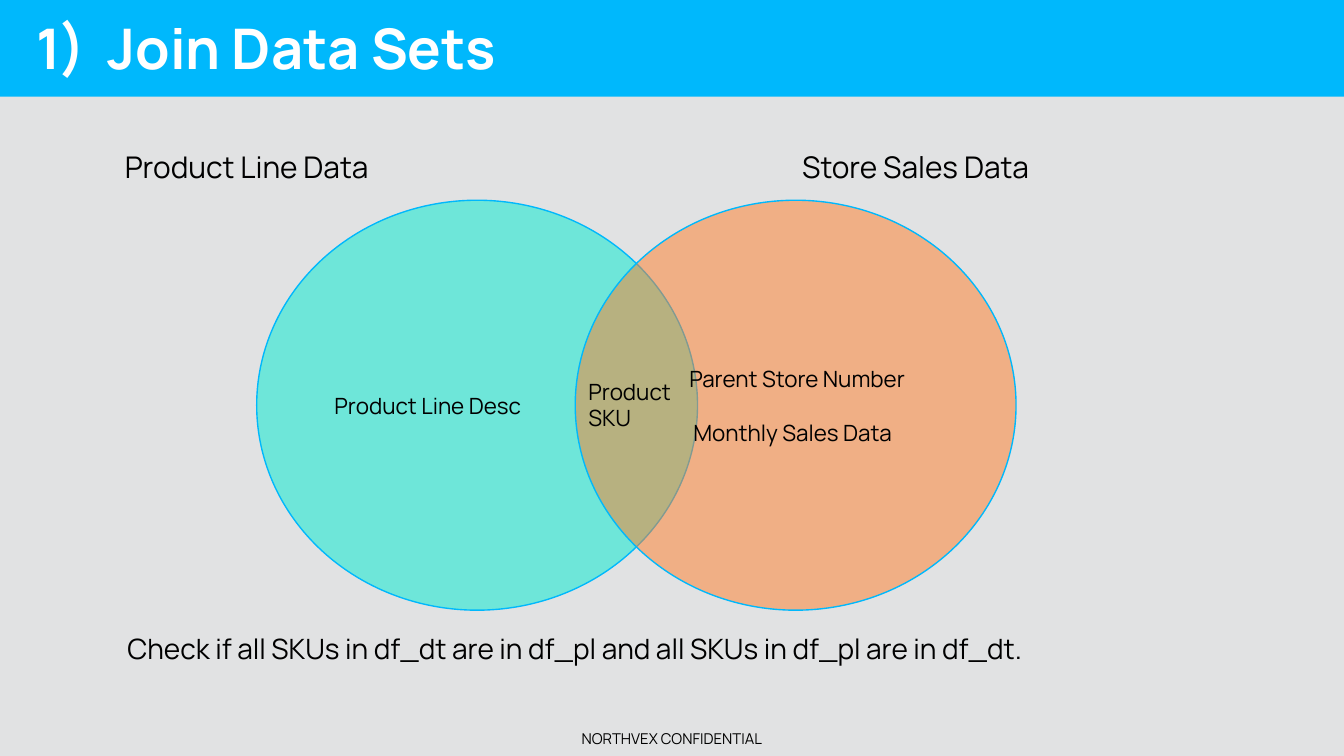
from dataclasses import dataclass

from lxml.etree import SubElement
from pptx import Presentation
from pptx.dml.color import RGBColor
from pptx.enum.shapes import MSO_SHAPE as Shape
from pptx.enum.text import MSO_ANCHOR as Anchor, MSO_AUTO_SIZE as AutoSize, PP_ALIGN as Align
from pptx.oxml.ns import qn
from pptx.util import Inches, Pt

FONT = "Manrope"
BLACK = RGBColor(0x00, 0x00, 0x00)
WHITE = RGBColor(0xFF, 0xFF, 0xFF)
SKY = RGBColor(0x00, 0xB8, 0xFC)
TEAL = RGBColor(0x00, 0xEA, 0xD0)
ORANGE = RGBColor(0xFF, 0x7F, 0x2C)
PALE_GRAY = RGBColor(0xE1, 0xE2, 0xE3)

SLIDE_WIDTH = Inches(10)
SLIDE_HEIGHT = SLIDE_WIDTH * 9 // 16
INSET = 0.1
SET_TOP, SET_WIDTH, SET_HEIGHT = 1.49, 3.28, 3.05
OPACITY = 51


@dataclass(frozen=True)
class Line:
    text: str
    margin: float = 0
    hanging: float = 0
    before: float = 0


@dataclass(frozen=True)
class DataSet:
    left: float
    color: RGBColor
    fields: tuple[Line, ...]


@dataclass(frozen=True)
class Label:
    text: str
    left: float
    top: float
    width: float
    height: float
    size: float
    align: Align = Align.LEFT
    anchor: Anchor = Anchor.TOP


DATA_SETS = (
    DataSet(1.91, TEAL, (Line("Product Line Desc"),)),
    DataSet(4.28, ORANGE, (
        Line("Parent Store Number", margin=0.27),
        Line("Monthly Sales Data", margin=0.3, before=14.5),
    )),
)

LABELS = (
    Label("Product Line Data", 0.83, 1.01, 3.28, 0.47, 16),
    Label("Store Sales Data", 5.87, 1.01, 3.28, 0.47, 16),
    Label("Product SKU", 4.28, 2.71, 0.96, 0.61, 12),
    Label("Check if all SKUs in df_dt are in df_pl and all SKUs in df_pl are in df_dt.",
          0.85, 4.6, 7.83, 0.61, 15),
    Label("NORTHVEX CONFIDENTIAL", 3.36, 5.36, 3.28, 0.27, 8, Align.CENTER, Anchor.MIDDLE),
)


def write(shape, *lines: Line, size: float, color: RGBColor = BLACK, bold: bool = False,
          align: Align = Align.LEFT, anchor: Anchor = Anchor.TOP,
          left_inset: float = INSET) -> None:
    frame = shape.text_frame
    frame.word_wrap = True
    frame.auto_size = AutoSize.NONE
    frame.vertical_anchor = anchor
    frame.margin_left = Inches(left_inset)
    frame.margin_right = frame.margin_top = frame.margin_bottom = Inches(INSET)
    for index, line in enumerate(lines):
        paragraph = frame.add_paragraph() if index else frame.paragraphs[0]
        paragraph.alignment = align
        paragraph.line_spacing = 1.0
        paragraph.space_before = Pt(line.before)
        properties = paragraph._p.get_or_add_pPr()
        properties.set("marL", str(Inches(line.margin)))
        properties.set("indent", str(-Inches(line.hanging)))
        run = paragraph.add_run()
        run.text = line.text
        run.font.name = FONT
        run.font.size = Pt(size)
        run.font.bold = bold
        run.font.color.rgb = color


def draw_title(slide, line: Line) -> None:
    title = slide.shapes.title
    title.left, title.top = Inches(0), Inches(0)
    title.width, title.height = SLIDE_WIDTH, Inches(0.72)
    title.fill.solid()
    title.fill.fore_color.rgb = SKY
    write(title, line, size=30, color=WHITE, bold=True, left_inset=0.27)


def draw_data_set(slide, data_set: DataSet) -> None:
    circle = slide.shapes.add_shape(Shape.OVAL, Inches(data_set.left), Inches(SET_TOP),
                                    Inches(SET_WIDTH), Inches(SET_HEIGHT))
    circle.shadow.inherit = False
    circle.fill.solid()
    circle.fill.fore_color.rgb = data_set.color
    fill_color = circle._element.spPr.find(qn("a:solidFill")).find(qn("a:srgbClr"))
    SubElement(fill_color, qn("a:alpha")).set("val", str(OPACITY * 1000))
    circle.line.color.rgb = SKY
    circle.line.width = Pt(0.75)
    write(circle, *data_set.fields, size=12, anchor=Anchor.MIDDLE)


def draw_label(slide, label: Label) -> None:
    box = slide.shapes.add_textbox(Inches(label.left), Inches(label.top),
                                   Inches(label.width), Inches(label.height))
    write(box, Line(label.text), size=label.size, align=label.align, anchor=label.anchor)


def main() -> None:
    deck = Presentation()
    deck.slide_width, deck.slide_height = SLIDE_WIDTH, SLIDE_HEIGHT
    slide = deck.slides.add_slide(deck.slide_layouts[5])
    slide.background.fill.solid()
    slide.background.fill.fore_color.rgb = PALE_GRAY
    draw_title(slide, Line("1)\tJoin Data Sets", margin=0.53, hanging=0.53))
    for data_set in DATA_SETS:
        draw_data_set(slide, data_set)
    for label in LABELS:
        draw_label(slide, label)
    deck.save("out.pptx")


if __name__ == "__main__":
    main()
